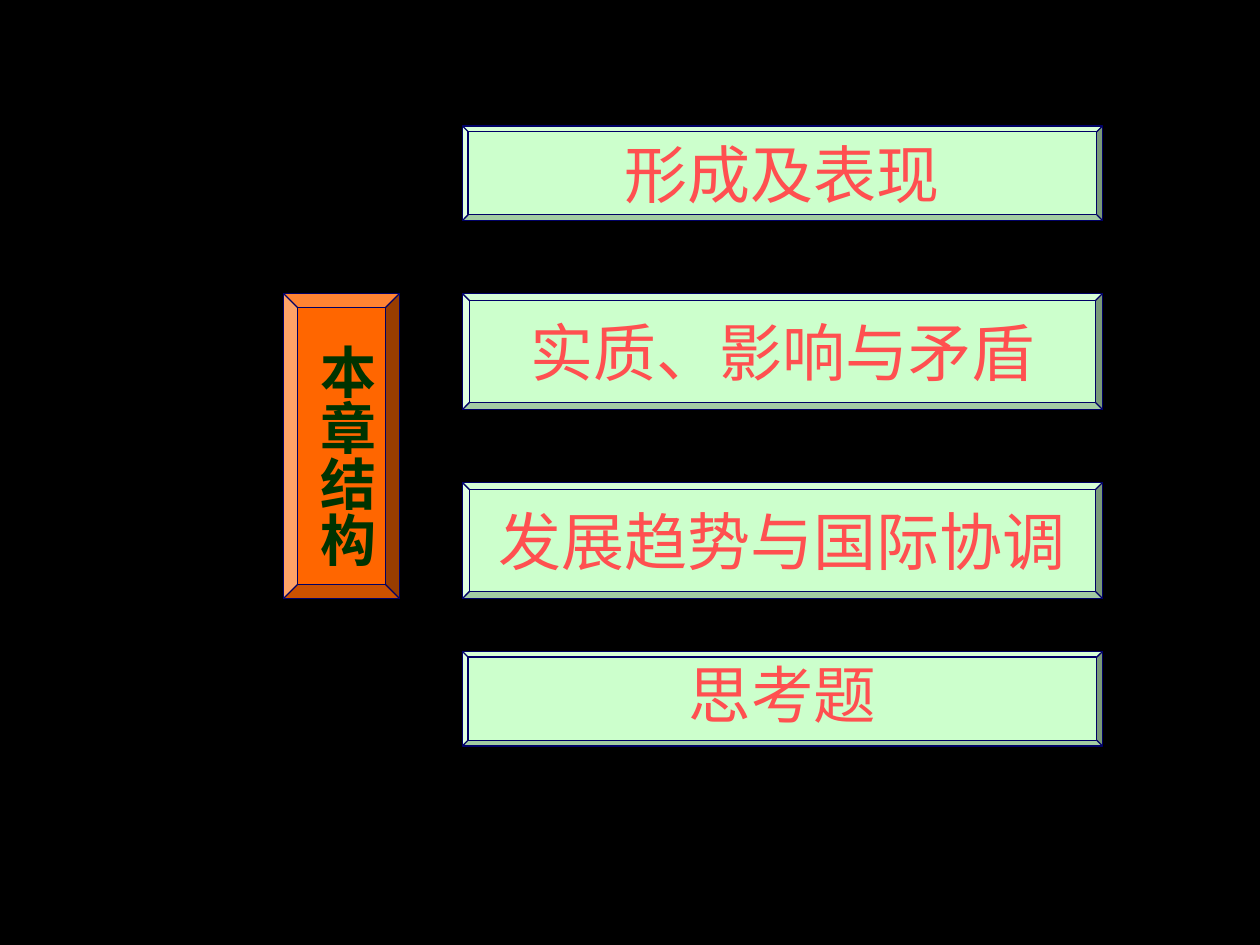
from pptx import Presentation
from pptx import util as u
from pptx.dml.color import RGBColor
from pptx.enum import shapes, text
from pptx.oxml.ns import qn
from lxml import etree

COLORS = {"background": "000000", "topic": "CCFFCC", "topic text": "FF5050",
          "heading": "FF6600", "heading text": "003300", "edge": "000066"}
CJK_FONT = "Noto Sans CJK SC"

# Content: wording, top, height, size, line spacing
TOPICS = [
    ("形成及表现", 1, 0.75, 36, 1.0),
    ("实质、影响与矛盾", 2.33, 0.92, 36, 1.0),
    ("发展趋势与国际协调", 3.83, 0.92, 36, 1.0),
    ("思考题", 5.17, 0.75, 35.7, 0.9),
]
HEADING = "本章结构"
TOPIC_LEFT, TOPIC_WIDTH = 3.67, 5.08


def color(name):
    return RGBColor.from_string(COLORS[name])


def add_bevel(box, depth, fill):
    shape = slide.shapes.add_shape(shapes.MSO_SHAPE.BEVEL, *map(u.Inches, box))
    shape.adjustments[0] = depth
    shape.shadow.inherit = False
    shape.fill.solid()
    shape.fill.fore_color.rgb = color(fill)
    shape.line.color.rgb = color("edge")
    shape.line.width = u.Pt(0.74)
    return shape


def write(shape, wording, font_color, frame_format, paragraph_format, font_format):
    frame = shape.text_frame
    paragraph = frame.paragraphs[0]
    run = paragraph.add_run()
    run.text = wording
    for target, values in ((frame, frame_format), (paragraph, paragraph_format),
                           (run.font, font_format)):
        for name, value in values.items():
            setattr(target, name, value)
    run.font.color.rgb = color(font_color)
    # East Asian typeface
    etree.SubElement(run.font._element, qn("a:ea")).set("typeface", CJK_FONT)


presentation = Presentation()
presentation.slide_width, presentation.slide_height = u.Inches(10), u.Inches(7.5)
slide = presentation.slides.add_slide(presentation.slide_layouts[6])
slide.background.fill.solid()
slide.background.fill.fore_color.rgb = color("background")

# Topic bars
for wording, top, height, size, spacing in TOPICS:
    bar = add_bevel((TOPIC_LEFT, top, TOPIC_WIDTH, height), 0.06, "topic")
    write(bar, wording, "topic text",
          {"word_wrap": True, "vertical_anchor": text.MSO_ANCHOR.MIDDLE},
          {"alignment": text.PP_ALIGN.CENTER, "line_spacing": spacing},
          {"size": u.Pt(size), "name": CJK_FONT})

# Chapter heading: panel and vertical label
add_bevel((2.25, 2.33, 0.92, 2.42), 0.12, "heading")
label = slide.shapes.add_textbox(*map(u.Inches, (2.34, 2.63, 0.73, 1.88)))
write(label, HEADING, "heading text",
      {"word_wrap": False, "auto_size": text.MSO_AUTO_SIZE.SHAPE_TO_FIT_TEXT,
       "margin_left": u.Inches(0.05), "margin_right": u.Inches(0.05),
       "margin_top": u.Inches(0.1), "margin_bottom": u.Inches(0.1)},
      {"alignment": text.PP_ALIGN.LEFT},
      {"size": u.Pt(32), "name": "Arial", "bold": True})
label.text_frame._txBody.bodyPr.set("vert", "eaVert")

presentation.save("out.pptx")
